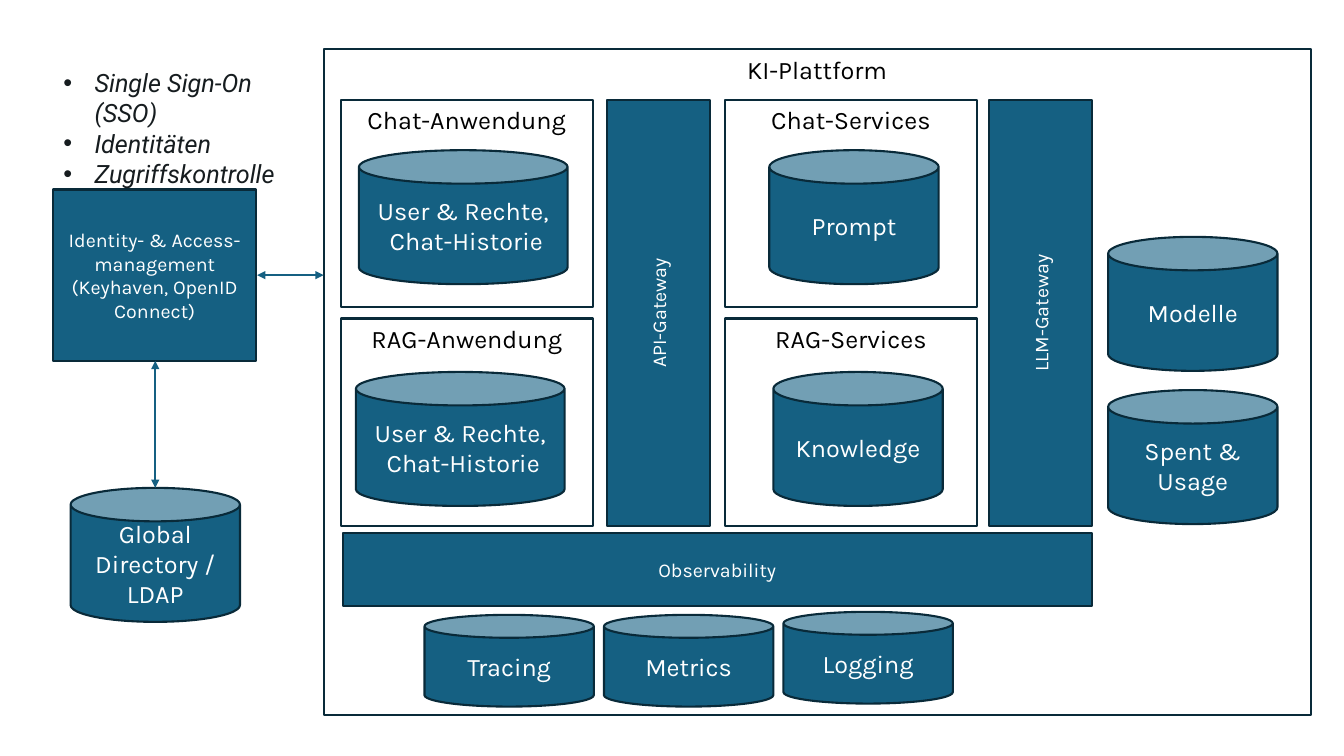
from lxml import etree
from pptx import Presentation, util as u
from pptx.dml import color
from pptx.enum import shapes, text
from pptx.oxml import ns

BLUE, NAVY, WHITE, BLACK, INK = "156082", "092A39", "FFFFFF", "000000", "161C1F"
RECT, CAN = shapes.MSO_SHAPE.RECTANGLE, shapes.MSO_SHAPE.CAN

deck = Presentation()
deck.slide_width, deck.slide_height = u.Inches(13.33), u.Inches(7.5)
page = deck.slides.add_slide(deck.slide_layouts[6])
cell = u.Inches(0.1)


def rgb(value):
    return color.RGBColor.from_string(value)


def add_box(kind, label, left, top, width, height, size=18, filled=True, upright=False):
    box = page.shapes.add_shape(kind, *(round(n * cell) for n in (left, top, width, height)))
    box.shadow.inherit = False
    box.line.color.rgb = rgb(NAVY)
    box.line.width = u.Pt(1.5)
    if filled:
        box.fill.solid()
        box.fill.fore_color.rgb = rgb(BLUE)
    else:
        box.fill.background()
    frame = box.text_frame
    frame.word_wrap = True
    frame.vertical_anchor = text.MSO_ANCHOR.MIDDLE if filled else text.MSO_ANCHOR.TOP
    if upright:
        frame._txBody.bodyPr.set("vert", "vert270")
    frame.text = label
    for para in frame.paragraphs:
        para.alignment = text.PP_ALIGN.CENTER
        para.font.size = u.Pt(size)
        for span in para.runs:
            span.font.name = "Karla"
            span.font.size = u.Pt(size)
            span.font.color.rgb = rgb(WHITE if filled else BLACK)


add_box(RECT, "KI-Plattform", 32.1, 4.9, 97.9, 66, filled=False)

panel_columns, panel_rows = (33.8, 71.9), (9.9, 31.6)
panel_names = (("Chat-Anwendung", "Chat-Services"), ("RAG-Anwendung", "RAG-Services"))
for top, names in zip(panel_rows, panel_names):
    for left, name in zip(panel_columns, names):
        add_box(RECT, name, left, top, 25, 20.6, filled=False)

for name, left in (("API-Gateway", 60.2), ("LLM-Gateway", 98.1)):
    add_box(RECT, name, left, 9.9, 10.2, 42.3, size=14, upright=True)
add_box(RECT, "Observability", 34, 52.9, 74.3, 7.2, size=14)
add_box(RECT, "Identity- & Access-management\n(Keyhaven, OpenID Connect)", 5.3, 18.8, 20.1, 17, size=14)

user_store = "User & Rechte,\n Chat-Historie"
stores = (
    (user_store, 35.6, 14.9, 20.7),
    (user_store, 35.3, 36.9, 20.7),
    ("Prompt", 76.3, 14.9, 16.8),
    ("Knowledge", 76.7, 36.9, 16.8),
    ("Modelle", 109.9, 23.5, 16.8),
    ("Spent & Usage", 109.9, 38.7, 16.8),
    ("Global Directory / LDAP", 7, 48.4, 16.8),
)
for name, left, top, width in stores:
    add_box(CAN, name, left, top, width, 13.3)

for column, (name, top) in enumerate((("Tracing", 61), ("Metrics", 61), ("Logging", 60.7))):
    add_box(CAN, name, 42.1 + 17.8 * column, top, 16.8, 9.1)

for ends in ((15.4, 35.8, 15.4, 48.4), (25.5, 27.3, 32.1, 27.3)):
    arrow = page.shapes.add_connector(
        shapes.MSO_CONNECTOR.STRAIGHT, *(round(n * cell) for n in ends))
    arrow.line.color.rgb = rgb(BLUE)
    arrow.line.width = u.Pt(1.5)
    for end in ("headEnd", "tailEnd"):
        etree.SubElement(arrow.line._get_or_add_ln(), ns.qn(f"a:{end}"), type="triangle")
    etree.SubElement(arrow._element.spPr, ns.qn("a:effectLst"))

duties = page.shapes.add_textbox(*(round(n * cell) for n in (5.3, 6.2, 25.9, 10.1)))
duties.text_frame.word_wrap = True
duties.text_frame.text = "Single Sign-On (SSO)\nIdentitäten\nZugriffskontrolle"
for para in duties.text_frame.paragraphs:
    indent = round(3.1 * cell)
    props = para._p.get_or_add_pPr()
    props.set("marL", str(indent))
    props.set("indent", str(-indent))
    etree.SubElement(props, ns.qn("a:buFont"), typeface="Arial")
    etree.SubElement(props, ns.qn("a:buChar"), char="•")
    for span in para.runs:
        span.font.name = "Roboto"
        span.font.size = u.Pt(18)
        span.font.italic = True
        span.font.color.rgb = rgb(INK)

deck.save("out.pptx")
